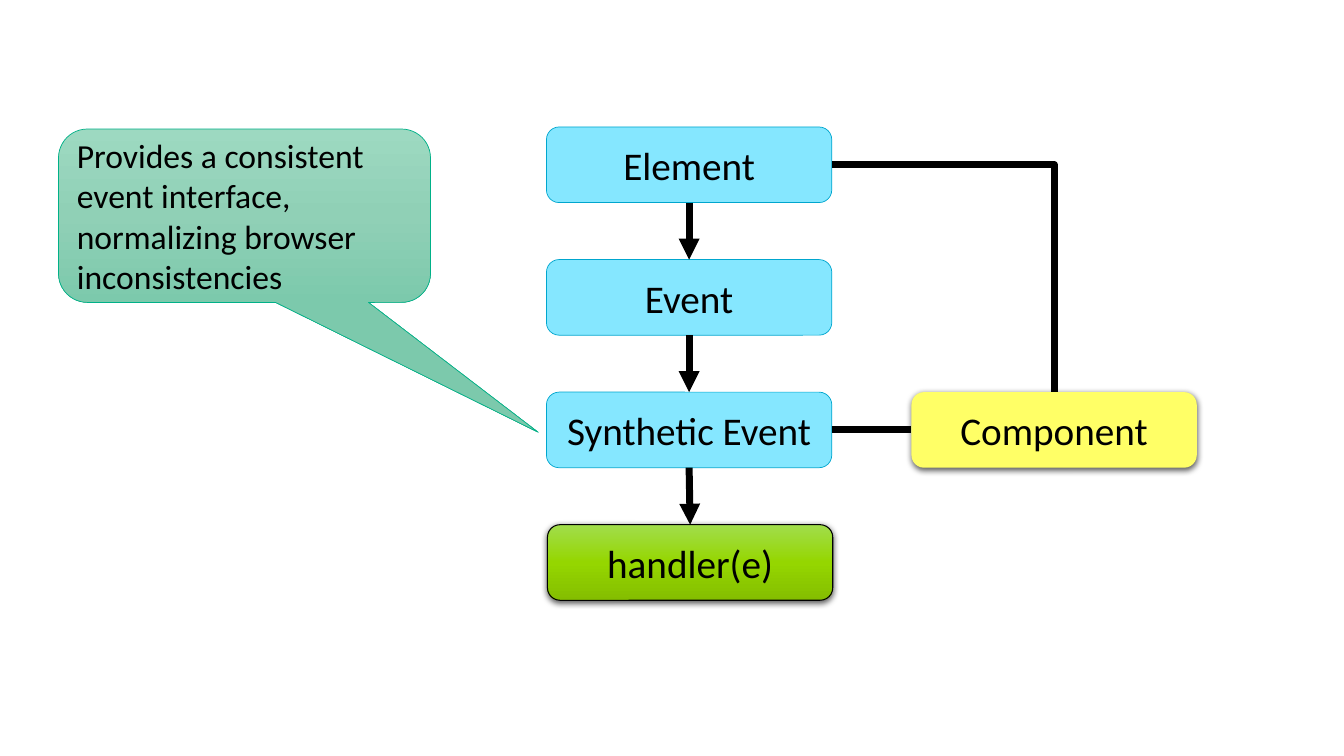
from copy import deepcopy

from lxml import etree
from pptx import Presentation
from pptx.dml.color import RGBColor
from pptx.enum.shapes import MSO_CONNECTOR, MSO_SHAPE
from pptx.enum.text import MSO_ANCHOR, PP_ALIGN
from pptx.oxml.ns import qn
from pptx.util import Inches, Pt

BOX = MSO_SHAPE.FLOWCHART_ALTERNATE_PROCESS
CALLOUT = MSO_SHAPE.ROUNDED_RECTANGULAR_CALLOUT
STRAIGHT, ELBOW = MSO_CONNECTOR.STRAIGHT, MSO_CONNECTOR.ELBOW
MIDDLE = MSO_ANCHOR.MIDDLE
CENTER, LEFT = PP_ALIGN.CENTER, PP_ALIGN.LEFT
TOP_SIDE, LEFT_SIDE, BOTTOM_SIDE, RIGHT_SIDE = range(4)

COLORS = {
    "black": "000000",
    "blue": "85E7FF",
    "blue_line": "00A6CE",
    "yellow": "FFFF66",
    "green": ["A1DD4B", "95D600", "84BE00"],
    "mint": ["9DD9C1", "90D0B6", "7CC9AC"],
    "mint_line": "00B188",
}
BOX_W, BOX_H = 2.83, 0.75
STEP_X, STEP_Y, STEP_GAP = 5.42, 1.26, 1.315
COMPONENT_X = 9.04

prs = Presentation()
prs.slide_width, prs.slide_height = Inches(13.33), Inches(7.5)
slide = prs.slides.add_slide(prs.slide_layouts[6])
shapes = slide.shapes


def add_node(kind, x, y, w, h, text, fill, line=None, line_w=0.5,
             size=28, align=CENTER, shadow=False):
    """Add a labelled shape; a list of fill colours makes a vertical gradient."""
    sp = shapes.add_shape(kind, Inches(x), Inches(y), Inches(w), Inches(h))
    sp.shadow.inherit = False
    if isinstance(fill, list):
        sp.fill.gradient()
        sp.fill.gradient_angle = 270
        stops = sp._element.spPr.find(".//" + qn("a:gsLst"))
        stops.append(deepcopy(stops[-1]))
        for i, stop in enumerate(sp.fill.gradient_stops):
            stop.position = i / 2
            stop.color.rgb = RGBColor.from_string(fill[i])
    else:
        sp.fill.solid()
        sp.fill.fore_color.rgb = RGBColor.from_string(fill)
    if line:
        sp.line.color.rgb = RGBColor.from_string(line)
        sp.line.width = Pt(line_w)
    else:
        sp.line.fill.background()
    if shadow:
        effects = sp._element.spPr.find(qn("a:effectLst"))
        outer = etree.SubElement(effects, qn("a:outerShdw"), blurRad=str(Pt(4.5)),
                                 dist=str(Pt(1.5)), dir="5400000", algn="ctr",
                                 rotWithShape="0")
        color = etree.SubElement(outer, qn("a:srgbClr"), val=COLORS["black"])
        etree.SubElement(color, qn("a:alpha"), val="63000")
    tf = sp.text_frame
    tf.word_wrap = True
    tf.vertical_anchor = MIDDLE
    p = tf.paragraphs[0]
    p.text = text
    p.alignment = align
    p.font.name, p.font.size = "Calibri", Pt(size)
    p.font.color.rgb = RGBColor.from_string(COLORS["black"])
    return sp


def add_link(kind, x1, y1, x2, y2, arrow=False):
    link = shapes.add_connector(kind, x1, y1, x2, y2)
    link.line.color.rgb = RGBColor.from_string(COLORS["black"])
    link.line.width = Pt(5)
    if arrow:
        etree.SubElement(link.line._get_or_add_ln(), qn("a:tailEnd"), type="triangle")
    etree.SubElement(link._element.spPr, qn("a:effectLst"))
    return link


# Event flow, top to bottom
steps = [
    add_node(BOX, STEP_X, STEP_Y + i * STEP_GAP, BOX_W, BOX_H, name,
             COLORS["blue"], COLORS["blue_line"])
    for i, name in enumerate(["Element", "Event", "Synthetic Event"])
]
steps.append(add_node(BOX, STEP_X + 0.01, STEP_Y + 3 * STEP_GAP, BOX_W, BOX_H,
                      "handler(e)", COLORS["green"], COLORS["black"], 0.75,
                      shadow=True))
for upper, lower in zip(steps, steps[1:]):
    arrow = add_link(STRAIGHT, 0, 0, 0, 0, arrow=True)
    arrow.begin_connect(upper, BOTTOM_SIDE)
    arrow.end_connect(lower, TOP_SIDE)

# Component and its two links
element, event, synthetic, handler = steps
component = add_node(BOX, COMPONENT_X, STEP_Y + 2 * STEP_GAP, BOX_W, BOX_H,
                     "Component", COLORS["yellow"], shadow=True)
elbow = add_link(ELBOW, element.left + element.width,
                 element.top + element.height // 2,
                 component.left + component.width // 2, component.top)
elbow._element.spPr.find(qn("a:prstGeom")).set("prst", "bentConnector2")
side_link = add_link(STRAIGHT, 0, 0, 0, 0)
side_link.begin_connect(synthetic, RIGHT_SIDE)
side_link.end_connect(component, LEFT_SIDE)

# Explanation
callout = add_node(CALLOUT, 0.58, 1.28, 3.69, 1.72,
                   "Provides a consistent event interface, normalizing browser "
                   "inconsistencies",
                   COLORS["mint"], COLORS["mint_line"], size=24, align=LEFT)
callout.adjustments[0] = 0.79
callout.adjustments[1] = 1.25

prs.save("out.pptx")
